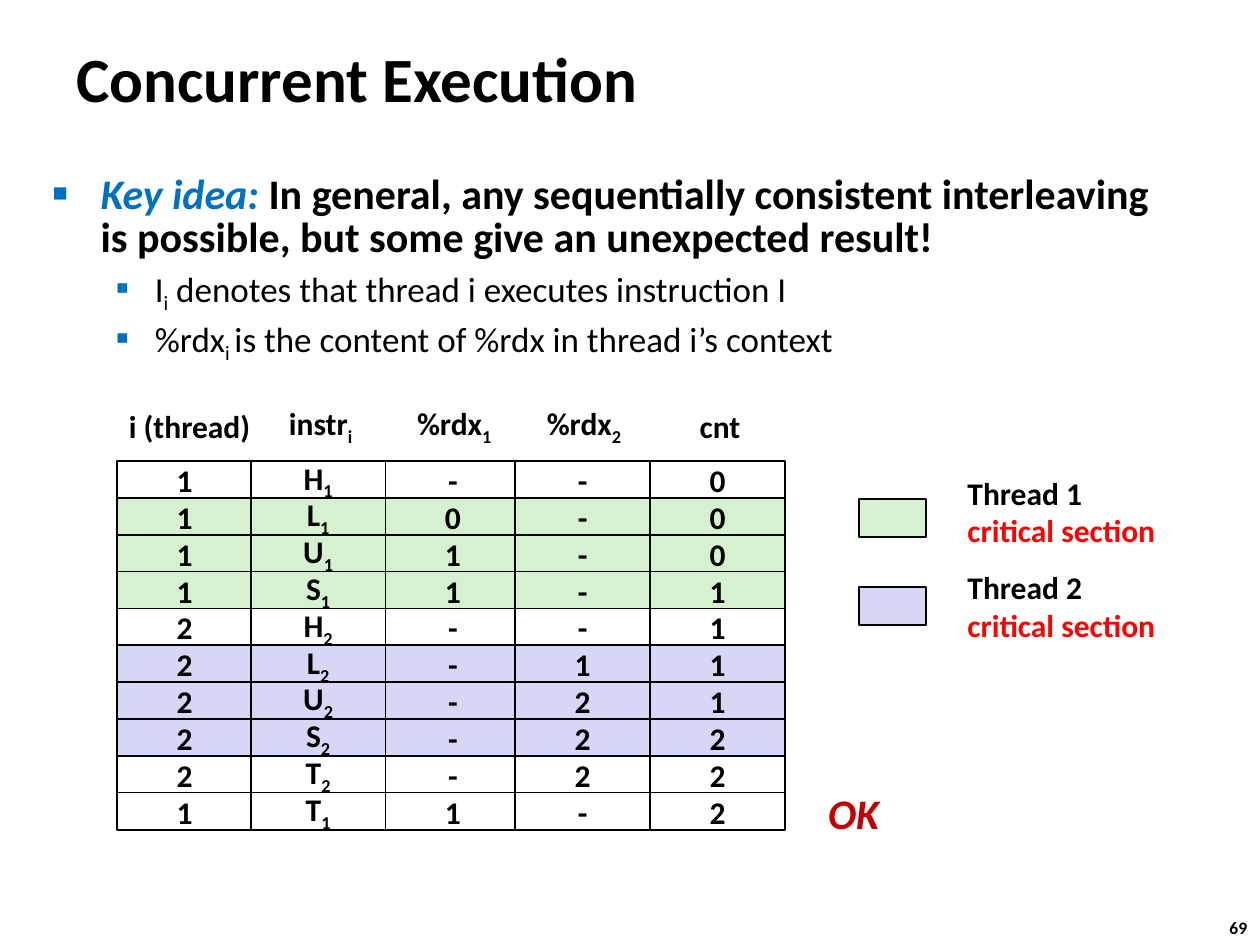
import dataclasses

import pptx
import pptx.dml.color
import pptx.enum.shapes
import pptx.enum.text
import pptx.oxml.xmlchemy
import pptx.util
from lxml import etree
from pptx.oxml import ns

Inches = pptx.util.Inches
Pt = pptx.util.Pt
ALIGN = pptx.enum.text.PP_ALIGN
ANCHOR = pptx.enum.text.MSO_ANCHOR


@dataclasses.dataclass(frozen=True)
class Theme:
    font: str = "Calibri"
    ink: str = "000000"
    paper: str = "FFFFFF"
    accent: str = "0070C0"
    warning: str = "FF0000"
    verdict: str = "C00000"
    thread1: str = "D5F1CF"
    thread2: str = "D6D6F5"
    title: int = 36
    lead: int = 24
    detail: int = 20
    label: int = 18
    footer: int = 10


THEME = Theme()


def rgb(value):
    return pptx.dml.color.RGBColor.from_string(value)


def add_text(p, text, *, size=THEME.label, color=THEME.ink, bold=True, italic=False):
    """Add runs to a paragraph; text between underscores is subscript."""
    for i, part in enumerate(text.split("_")):
        if not part:
            continue
        r = p.add_run()
        r.text = part
        r.font.name, r.font.size = THEME.font, Pt(size)
        r.font.bold, r.font.italic = bold, italic
        r.font.color.rgb = rgb(color)
        if i % 2:
            r.font._element.set("baseline", "-25000")


def add_bullet(p, char, *, left, hanging, percent):
    pPr = p._p.get_or_add_pPr()
    pPr.set("marL", str(Inches(left)))
    pPr.set("indent", str(-Inches(hanging)))
    color = etree.SubElement(pPr, ns.qn("a:buClr"))
    etree.SubElement(color, ns.qn("a:srgbClr"), val=THEME.accent)
    etree.SubElement(pPr, ns.qn("a:buSzPct"), val=str(percent * 1000))
    etree.SubElement(pPr, ns.qn("a:buFont"), typeface="Arial")
    etree.SubElement(pPr, ns.qn("a:buChar"), char=char)


class SlideBuilder:
    def __init__(self, prs, theme):
        self.theme = theme
        self.s = prs.slides.add_slide(prs.slide_layouts[6])

    def text_box(self, x, y, w, h, *, anchor=ANCHOR.TOP, align=ALIGN.LEFT, wrap=True):
        """Add an empty text box and return its text frame."""
        tf = self.s.shapes.add_textbox(*map(Inches, (x, y, w, h))).text_frame
        tf.word_wrap, tf.vertical_anchor = wrap, anchor
        tf.paragraphs[0].alignment = align
        return tf

    def label(self, text, x, y, w, h, **fmt):
        tf = self.text_box(x, y, w, h, anchor=ANCHOR.MIDDLE, align=ALIGN.CENTER, wrap=False)
        add_text(tf.paragraphs[0], text, **fmt)

    def box(self, x, y, w, h, fill, text=""):
        sp = self.s.shapes.add_shape(
            pptx.enum.shapes.MSO_SHAPE.RECTANGLE, *map(Inches, (x, y, w, h)))
        sp.shadow.inherit = False
        sp.fill.solid()
        sp.fill.fore_color.rgb = rgb(fill)
        sp.line.color.rgb = rgb(self.theme.ink)
        sp.line.width = Pt(1)
        if text:
            tf = sp.text_frame
            tf.vertical_anchor = ANCHOR.MIDDLE
            tf.paragraphs[0].alignment = ALIGN.CENTER
            add_text(tf.paragraphs[0], text)

    def legend(self, name, fill, swatch_y, text_y):
        self.box(6.82, swatch_y, 0.53, 0.3, fill)
        p = self.text_box(7.58, text_y, 1.75, 0.71).paragraphs[0]
        add_text(p, name + " ")
        add_text(p, "critical section", color=self.theme.warning)

    def key_idea(self, lead, statement, details):
        t = self.theme
        tf = self.text_box(0.32, 1.34, 9.09, 1.59)
        p = tf.paragraphs[0]
        p.line_spacing = 0.85
        add_bullet(p, "■", left=0.38, hanging=0.38, percent=60)
        add_text(p, lead, size=t.lead, color=t.accent, italic=True)
        add_text(p, statement, size=t.lead)
        for detail in details:
            p = tf.add_paragraph()
            p.level, p.line_spacing, p.space_before = 1, 0.9, Pt(4)
            add_bullet(p, "▪", left=0.81, hanging=0.31, percent=110)
            add_text(p, detail, size=t.detail, bold=False)


def main():
    t = THEME
    prs = pptx.Presentation()
    prs.slide_width, prs.slide_height = Inches(10), Inches(7.5)
    b = SlideBuilder(prs, t)

    # Title and page number
    tf = b.text_box(0.51, 0.3, 7.24, 0.63, anchor=ANCHOR.MIDDLE)
    add_text(tf.paragraphs[0], "Concurrent Execution", size=t.title)
    tf = b.text_box(9.66, 7.23, 0.37, 0.27, wrap=False)
    add_text(tf.paragraphs[0], "69", size=t.footer)

    # Key idea
    b.key_idea(
        "Key idea: ",
        "In general, any sequentially consistent interleaving is possible, "
        "but some give an unexpected result!",
        ["I_i_ denotes that thread i executes instruction I",
         "%rdx_i _is the content of %rdx in thread i’s context"])

    # Execution trace: column headings, then one row per step
    headings = [("i (thread)", 0.92, 1.17), ("instr_i", 2.19, 0.71),
                ("%rdx_1", 3.2, 0.81), ("%rdx_2", 4.23, 0.81), ("cnt", 5.45, 0.53)]
    for text, x, w in headings:
        b.label(text, x, 3.18, w, 0.4)

    column_lefts = [0.93, 1.99, 3.06, 4.09, 5.16]
    steps = [
        (t.paper, "1", "H_1", "-", "-", "0"),
        (t.thread1, "1", "L_1", "0", "-", "0"),
        (t.thread1, "1", "U_1", "1", "-", "0"),
        (t.thread1, "1", "S_1", "1", "-", "1"),
        (t.paper, "2", "H_2", "-", "-", "1"),
        (t.thread2, "2", "L_2", "-", "1", "1"),
        (t.thread2, "2", "U_2", "-", "2", "1"),
        (t.thread2, "2", "S_2", "-", "2", "2"),
        (t.paper, "2", "T_2", "-", "2", "2"),
        (t.paper, "1", "T_1", "1", "-", "2"),
    ]
    top, last_top = 3.66, 6.29
    pitch = (last_top - top) / (len(steps) - 1)
    for row, (fill, *values) in enumerate(steps):
        for x, value in zip(column_lefts, values):
            b.box(x, top + row * pitch, 1.07, 0.3, fill, value)

    # Verdict and legend
    b.label("OK", 6.47, 6.2, 0.61, 0.5, size=t.lead, color=t.verdict, italic=True)
    b.legend("Thread 1", t.thread1, 3.96, 3.71)
    b.legend("Thread 2", t.thread2, 4.66, 4.46)

    prs.save("out.pptx")


if __name__ == "__main__":
    main()
